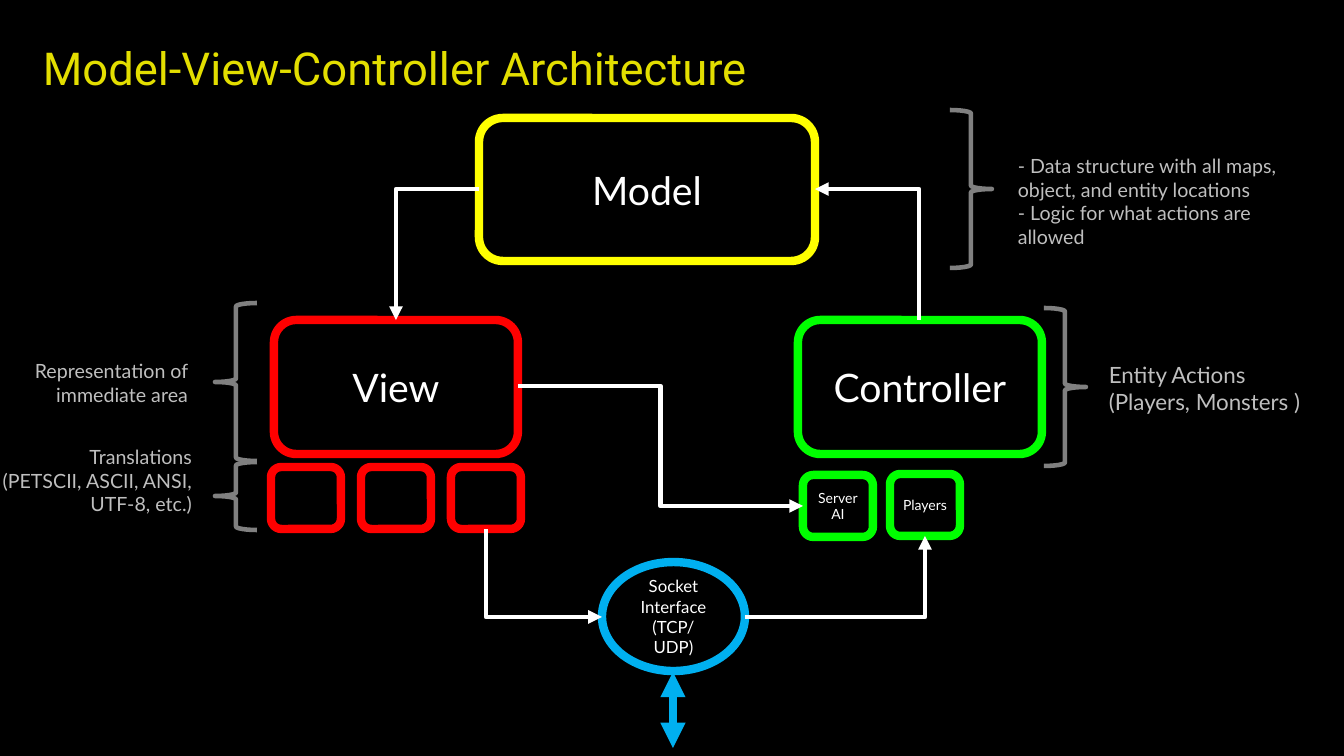
"""Build the Model-View-Controller architecture slide."""
import lxml.etree
import pptx
import pptx.dml.color
import pptx.enum.shapes
import pptx.enum.text
import pptx.oxml.ns
import pptx.util

RGBColor = pptx.dml.color.RGBColor
Shape = pptx.enum.shapes.MSO_SHAPE
Connector = pptx.enum.shapes.MSO_CONNECTOR
Align = pptx.enum.text.PP_ALIGN
Anchor = pptx.enum.text.MSO_ANCHOR
qn = pptx.oxml.ns.qn

BLACK = RGBColor(0x00, 0x00, 0x00)
WHITE = RGBColor(0xFF, 0xFF, 0xFF)
TITLE_YELLOW = RGBColor(0xE3, 0xDE, 0x00)
YELLOW = RGBColor(0xFF, 0xFF, 0x00)
RED = RGBColor(0xFF, 0x00, 0x00)
GREEN = RGBColor(0x00, 0xFF, 0x00)
BLUE = RGBColor(0x00, 0xB0, 0xF0)
BRACE_GRAY = RGBColor(0x80, 0x80, 0x80)
NOTE_GRAY = RGBColor(0xBF, 0xBF, 0xBF)

EMU_PER_PIXEL = 12192000 / 1344
BOX_LINE = 6
THIN_LINE = 3.25


def scale(*pixels):
    """Turn pixel lengths into EMU."""
    return [pptx.util.Emu(round(pixel * EMU_PER_PIXEL)) for pixel in pixels]


def set_attributes(target, values):
    """Set each attribute named in a dict of format values."""
    for name, value in values.items():
        setattr(target, name, value)


def write_text(shape, lines, size, color, font="Lato", anchor=Anchor.TOP, **paragraph_format):
    """Write one paragraph per line in a single style."""
    frame = shape.text_frame
    set_attributes(frame, {"word_wrap": True, "vertical_anchor": anchor})
    frame.text = "\n".join(lines)
    for paragraph in frame.paragraphs:
        set_attributes(paragraph, paragraph_format)
        for run in paragraph.runs:
            set_attributes(run.font, {"name": font, "size": pptx.util.Pt(size)})
            run.font.color.rgb = color


def set_line(shape, color, width):
    """Give a shape or connector a solid line."""
    shape.line.color.rgb = color
    shape.line.width = pptx.util.Pt(width)


def add_node(slide, kind, box, color, lines=(), size=10):
    """Add a black outlined node with centred white text."""
    shape = slide.shapes.add_shape(kind, *scale(*box))
    shape.shadow.inherit = False
    shape.fill.solid()
    shape.fill.fore_color.rgb = BLACK
    set_line(shape, color, BOX_LINE)
    if lines:
        write_text(shape, lines, size, WHITE, anchor=Anchor.MIDDLE, alignment=Align.CENTER)


def add_brace(slide, kind, left, top, height=158):
    """Add a gray brace."""
    shape = slide.shapes.add_shape(kind, *scale(left, top, 42, height))
    shape.shadow.inherit = False
    shape.fill.background()
    set_line(shape, BRACE_GRAY, THIN_LINE)


def add_text(slide, box, lines, size, color=NOTE_GRAY, **text_format):
    """Add a wrapped text box."""
    write_text(slide.shapes.add_textbox(*scale(*box)), lines, size, color, **text_format)


def add_arrow(slide, kind, start, end, heads, preset=None, color=WHITE, width=THIN_LINE):
    """Add a connector with arrowheads at the named ends."""
    connector = slide.shapes.add_connector(kind, *scale(*start, *end))
    set_line(connector, color, width)
    properties = connector._element.spPr
    if preset:
        properties.find(qn("a:prstGeom")).set("prst", preset)
    for head in heads:
        lxml.etree.SubElement(connector.line._ln, qn("a:" + head), type="triangle")
    lxml.etree.SubElement(properties, qn("a:effectLst"))


def add_nodes(slide):
    """Add the architecture nodes."""
    rounded = Shape.ROUNDED_RECTANGLE
    add_node(slide, rounded, (479, 118, 336, 143), YELLOW, ["Model"], 28)
    add_node(slide, rounded, (274, 320, 244, 134), RED, ["View"], 28)
    add_node(slide, rounded, (798, 320, 244, 134), GREEN, ["Controller"], 28)
    for column in range(3):
        add_node(slide, rounded, (271 + 90 * column, 467, 70, 62), RED)
    add_node(slide, rounded, (890, 474, 70, 62), GREEN, ["Players"])
    add_node(slide, rounded, (803, 475, 70, 62), GREEN, ["Server", "AI"])
    add_node(slide, Shape.OVAL, (602, 562, 143, 109), BLUE,
             ["Socket", "Interface", "(TCP/UDP)"], 12)


def add_notes_and_braces(slide):
    """Add the side remarks and their braces."""
    add_brace(slide, Shape.RIGHT_BRACE, 950, 110)
    add_brace(slide, Shape.RIGHT_BRACE, 1044, 308)
    add_brace(slide, Shape.LEFT_BRACE, 215, 303)
    add_brace(slide, Shape.LEFT_BRACE, 215, 462, 68)
    add_text(slide, (1008, 149, 294, 105),
             ["- Data structure with all maps, object, and entity locations",
              "- Logic for what actions are allowed"], 14)
    add_text(slide, (1099, 356, 212, 65), ["Entity Actions", "(Players, Monsters )"], 16)
    add_text(slide, (-14, 354, 212, 57), ["Representation of immediate area"], 14,
             alignment=Align.RIGHT)
    add_text(slide, (-10, 440, 212, 82),
             ["Translations", "(PETSCII, ASCII, ANSI, UTF-8, etc.)"], 14,
             alignment=Align.RIGHT)


def add_arrows(slide):
    """Add the flows between nodes."""
    corners = [
        ((815, 189), (919, 320), ["headEnd"]),
        ((479, 189), (396, 320), ["tailEnd"]),
        ((745, 617), (925, 536), ["tailEnd"]),
        ((602, 617), (486, 529), ["headEnd"]),
    ]
    for start, end, heads in corners:
        add_arrow(slide, Connector.ELBOW, start, end, heads, "bentConnector2")
    add_arrow(slide, Connector.ELBOW, (518, 386), (803, 506), ["tailEnd"])
    add_arrow(slide, Connector.STRAIGHT, (673, 748), (673, 672), ["headEnd", "tailEnd"],
              color=BLUE, width=BOX_LINE)


def main():
    """Build and save the slide."""
    presentation = pptx.Presentation()
    width, height = scale(1344, 756)
    set_attributes(presentation, {"slide_width": width, "slide_height": height})
    slide = presentation.slides.add_slide(presentation.slide_layouts[6])
    slide.background.fill.solid()
    slide.background.fill.fore_color.rgb = BLACK
    add_text(slide, (33, 25, 1300, 75), ["Model-View-Controller Architecture"], 32.4,
             TITLE_YELLOW, font="Roboto", anchor=Anchor.BOTTOM, line_spacing=0.9)
    add_nodes(slide)
    add_notes_and_braces(slide)
    add_arrows(slide)
    presentation.save("out.pptx")


main()
